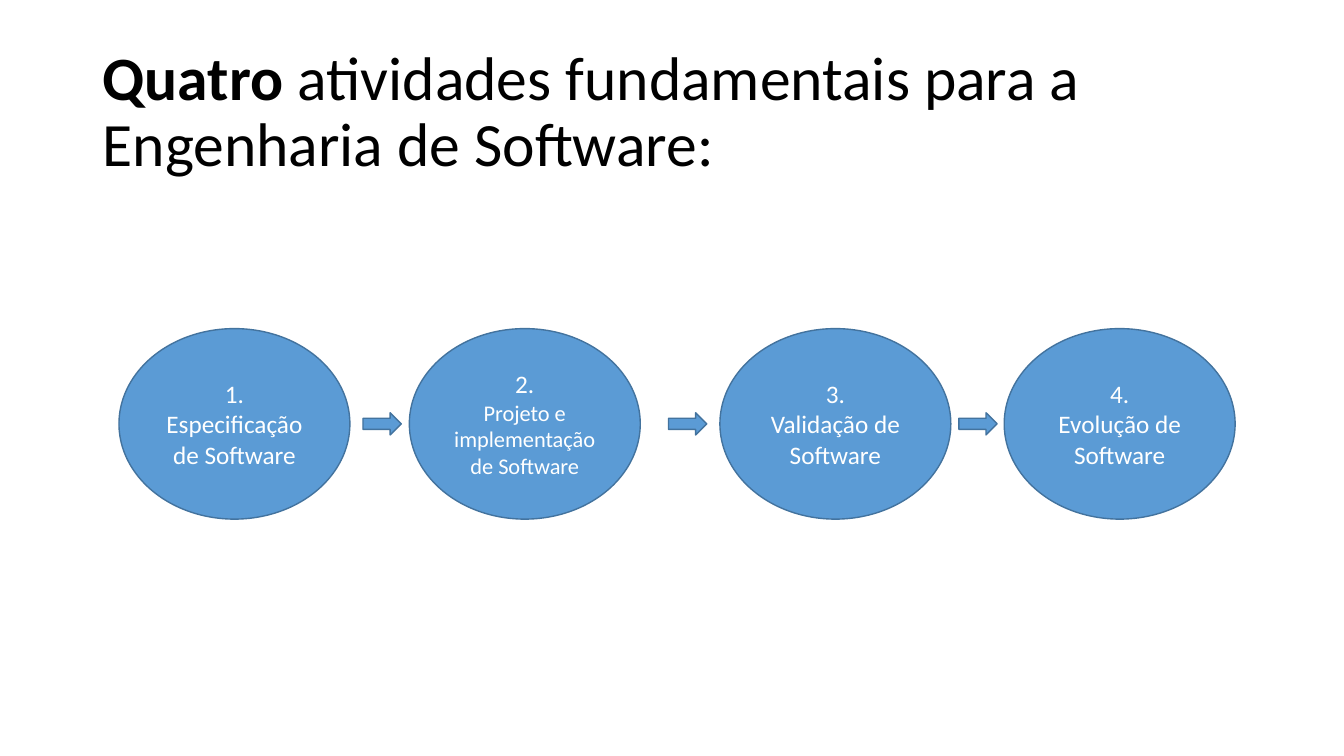
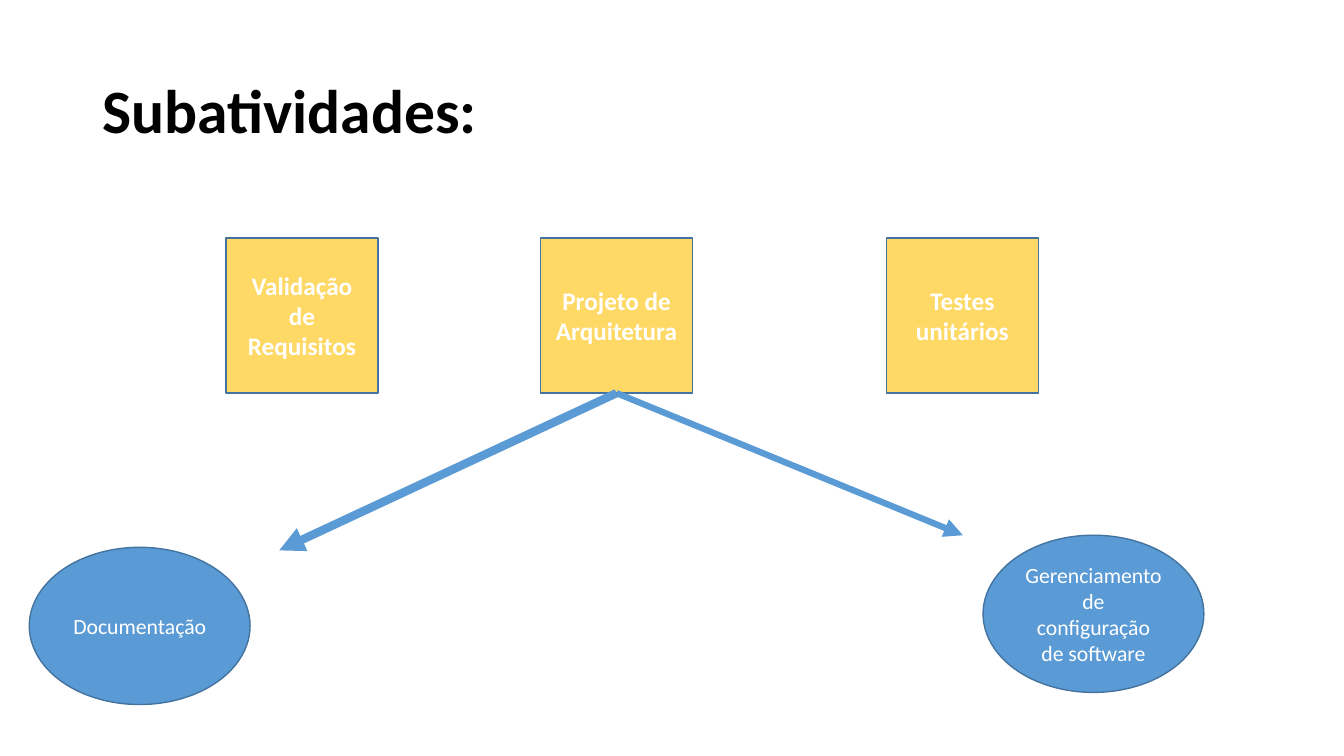
from lxml import etree
from pptx import Presentation
from pptx import util as u
from pptx.dml.color import RGBColor
from pptx.enum import shapes, text
from pptx.oxml.ns import qn

# Content: paragraphs are (wording, size) pairs
FIRST_TITLE = [("Quatro", True), (" atividades fundamentais para a Engenharia de Software:", False)]
SECOND_TITLE = [("Subatividades:", True)]
ACTIVITIES = [  # left edge, paragraphs
    (1.18, [("1. Especificação de Software", 18)]),
    (4.06, [("2.", 18), ("Projeto e implementação de Software", 16)]),
    (7.14, [("3.", 18), ("Validação de Software", 18)]),
    (9.96, [("4.", 18), ("Evolução de Software", 18)]),
]
STEP_ARROWS = [3.6, 6.63, 9.51]  # left edges
SUBACTIVITIES = [
    (2.24, "Validação de Requisitos"),
    (5.36, "Projeto de Arquitetura"),
    (8.79, "Testes unitários"),
]
SUPPORT = [  # left, top, wording, arrow tip, arrow width
    (0.29, 5.43, "Documentação", (2.77, 5.46), 6),
    (9.75, 5.31, "Gerenciamento de configuração de software", (9.55, 5.31), 4.5),
]

# Shared style
FONT = "Calibri"
BLUE, OUTLINE, YELLOW = "5B9BD5", "43739E", "FFD966"
WHITE, BLACK = "FFFFFF", "000000"
OVAL = shapes.MSO_SHAPE.OVAL
RECTANGLE = shapes.MSO_SHAPE.RECTANGLE
ARROW = shapes.MSO_SHAPE.RIGHT_ARROW
STEP_TOP, STEP_SIZE = 3.26, (2.29, 1.89)
ARROW_SIZE = (0.38, 0.22)
BOX_TOP, BOX_SIZE = 2.36, (1.51, 1.54)
SUPPORT_SIZE = (2.19, 1.56)


def color(value):
    return RGBColor.from_string(value)


def style_font(font, size, value, bold=None):
    font.name, font.size, font.bold = FONT, u.Pt(size), bold
    font.color.rgb = color(value)


def add_page(deck, title):
    page = deck.slides.add_slide(deck.slide_layouts[6])
    box = page.shapes.add_textbox(*map(u.Inches, (0.92, 0.4, 11.5, 1.45)))
    frame = box.text_frame
    frame.word_wrap = True
    frame.vertical_anchor = text.MSO_ANCHOR.MIDDLE
    para = frame.paragraphs[0]
    para.line_spacing = 0.9
    style_font(para.font, 44, BLACK)
    for wording, bold in title:
        span = para.add_run()
        span.text, span.font.bold = wording, bold
    return page


def add_figure(page, kind, left, top, size, fill=BLUE, paragraphs=(), bold=None):
    figure = page.shapes.add_shape(kind, *map(u.Inches, (left, top, *size)))
    figure.shadow.inherit = False
    figure.fill.solid()
    figure.fill.fore_color.rgb = color(fill)
    figure.line.color.rgb = color(OUTLINE)
    figure.line.width = u.Pt(1)
    frame = figure.text_frame
    frame.word_wrap = True
    frame.vertical_anchor = text.MSO_ANCHOR.MIDDLE
    for index, (wording, points) in enumerate(paragraphs):
        para = frame.add_paragraph() if index else frame.paragraphs[0]
        para.text = wording
        para.alignment = text.PP_ALIGN.CENTER
        style_font(para.font, points, WHITE, bold)
    return figure


def add_arrow(page, source, tip, width):
    end = map(u.Inches, tip)
    arrow = page.shapes.add_connector(shapes.MSO_CONNECTOR.STRAIGHT, 0, 0, *end)
    arrow.begin_connect(source, 2)
    arrow.line.color.rgb = color(BLUE)
    arrow.line.width = u.Pt(width)
    properties = arrow._element.spPr
    etree.SubElement(properties.find(qn("a:ln")), qn("a:tailEnd"), type="triangle")
    etree.SubElement(properties, qn("a:effectLst"))


def build_activities(deck):
    page = add_page(deck, FIRST_TITLE)
    for left, paragraphs in ACTIVITIES:
        add_figure(page, OVAL, left, STEP_TOP, STEP_SIZE, paragraphs=paragraphs)
    arrow_top = STEP_TOP + (STEP_SIZE[1] - ARROW_SIZE[1]) / 2
    for left in STEP_ARROWS:
        add_figure(page, ARROW, left, arrow_top, ARROW_SIZE)


def build_subactivities(deck):
    page = add_page(deck, SECOND_TITLE)
    boxes = [add_figure(page, RECTANGLE, left, BOX_TOP, BOX_SIZE, YELLOW, [(wording, 18)], True)
             for left, wording in SUBACTIVITIES]
    for left, top, wording, tip, width in SUPPORT:
        add_figure(page, OVAL, left, top, SUPPORT_SIZE, paragraphs=[(wording, 15.5)])
        add_arrow(page, boxes[1], tip, width)


def main():
    deck = Presentation()
    deck.slide_width, deck.slide_height = u.Inches(13.33), u.Inches(7.5)
    build_activities(deck)
    build_subactivities(deck)
    deck.save("out.pptx")


if __name__ == "__main__":
    main()
